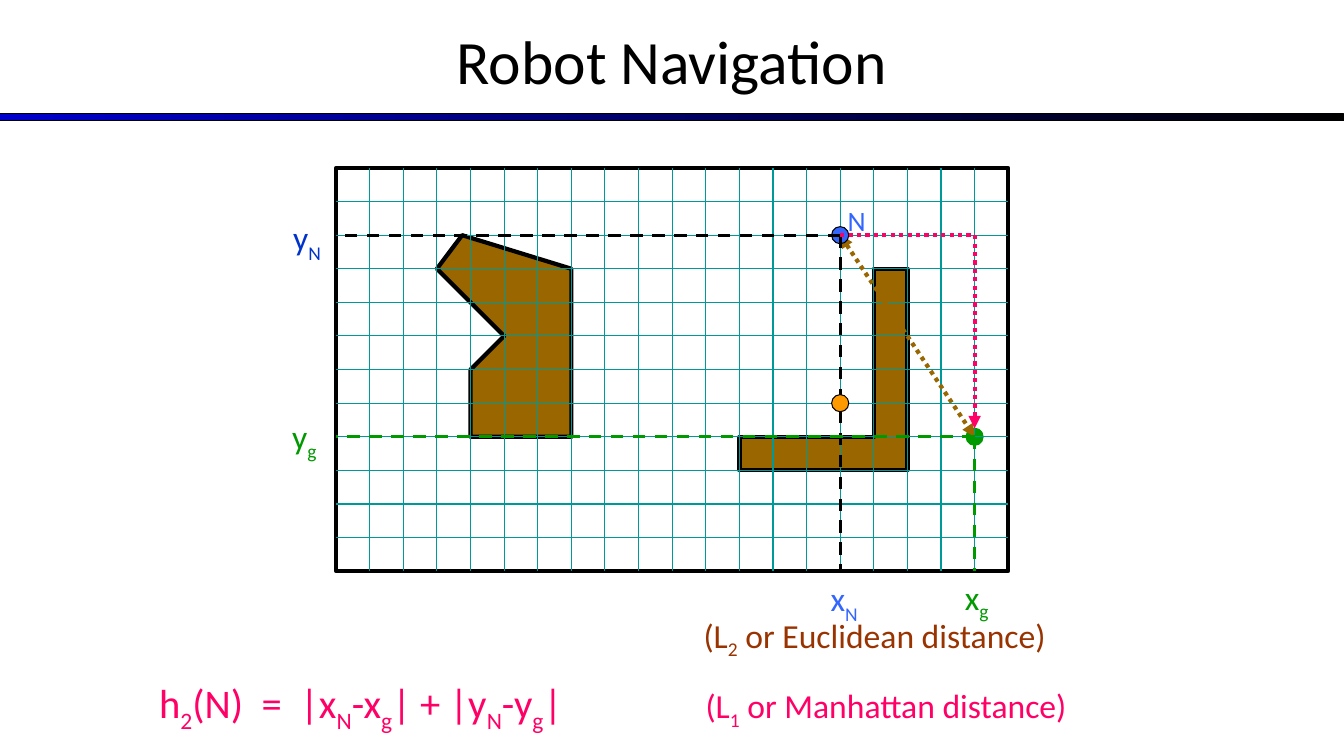
import pptx
import pptx.dml.color
import pptx.enum.dml
import pptx.enum.shapes
import pptx.enum.text
import pptx.oxml.ns
import pptx.util
from lxml import etree

Inches = pptx.util.Inches
Pt = pptx.util.Pt
SHAPE = pptx.enum.shapes.MSO_SHAPE
DASH = pptx.enum.dml.MSO_LINE.DASH
DOT = pptx.enum.dml.MSO_LINE.ROUND_DOT
qn = pptx.oxml.ns.qn

COLORS = {
    "black": "000000", "rule": "0000CC", "obstacle": "996600",
    "grid": "009999", "goal": "009900", "node": "3366FF",
    "y_node": "0033CC", "manhattan": "FF0066", "euclid": "993300",
    "marker": "FF9900",
}
FONT = "Calibri"

# Map geometry: positions on the map are counted in grid cells
CELL = 1 / 3
LEFT, TOP = 10 / 3, 5 / 3
COLS, ROWS = 20, 12
NODE = (15, 2)
GOAL = (19, 8)
MARKER = (15, 7)
DOT_SIZE = 0.17
HOUSE = [(3, 3), (5, 5), (4, 6), (4, 8), (7, 8), (7, 3), (3.75, 2)]
ELBOW = [(12, 8), (12, 9), (17, 9), (17, 3), (16, 3), (16, 8)]


def rgb(name):
    return pptx.dml.color.RGBColor.from_string(COLORS[name])


def cell_point(point):
    col, row = point
    return Inches(LEFT + col * CELL), Inches(TOP + row * CELL)


def style(sp, fill, line, width):
    sp.shadow.inherit = False
    if fill:
        sp.fill.solid()
        sp.fill.fore_color.rgb = rgb(fill)
    else:
        sp.fill.background()
    sp.line.color.rgb = rgb(line)
    sp.line.width = Pt(width)


def add_rule(s):
    sp = s.shapes.add_shape(SHAPE.RECTANGLE, 0, Inches(1.13), Inches(13.33), Inches(0.07))
    style(sp, None, "black", 0.75)
    sp.fill.gradient()
    sp.fill.gradient_angle = 0
    for stop, position, color in zip(sp.fill.gradient_stops, (0, 1), ("rule", "black")):
        stop.position = position
        stop.color.rgb = rgb(color)


def add_frame(s):
    x, y = cell_point((0, 0))
    sp = s.shapes.add_shape(SHAPE.RECTANGLE, x, y, Inches(COLS * CELL), Inches(ROWS * CELL))
    style(sp, None, "black", 3)


def add_obstacle(s, corners):
    start, *rest = [cell_point(c) for c in corners]
    builder = s.shapes.build_freeform(*start)
    builder.add_line_segments(rest, close=True)
    style(builder.convert_to_shape(), "obstacle", "black", 3)


def add_dot(s, center, fill, line):
    x, y = cell_point(center)
    size = Inches(DOT_SIZE)
    sp = s.shapes.add_shape(SHAPE.OVAL, x - size // 2, y - size // 2, size, size)
    style(sp, fill, line, 0.75)


def add_line(s, start, end, color, width, dash=None, arrows=()):
    sp = s.shapes.add_connector(
        pptx.enum.shapes.MSO_CONNECTOR.STRAIGHT, *cell_point(start), *cell_point(end))
    sp.line.color.rgb = rgb(color)
    sp.line.width = Pt(width)
    if dash:
        sp.line.dash_style = dash
    spPr = sp._element.spPr
    for arrow in arrows:
        etree.SubElement(spPr.find(qn("a:ln")), qn(f"a:{arrow}"), type="triangle")
    etree.SubElement(spPr, qn("a:effectLst"))


def add_text(s, box, text, size, color, drop=25):
    """Add a text box; parts between underscores become subscripts."""
    tf = s.shapes.add_textbox(*[Inches(v) for v in box]).text_frame
    tf.word_wrap = False
    tf.auto_size = pptx.enum.text.MSO_AUTO_SIZE.SHAPE_TO_FIT_TEXT
    p = tf.paragraphs[0]
    for i, part in enumerate(text.split("_")):
        if not part:
            continue
        r = p.add_run()
        r.text = part
        r.font.name = FONT
        r.font.size = Pt(size)
        r.font.color.rgb = rgb(color)
        if i % 2:
            r._r.get_or_add_rPr().set("baseline", str(-drop * 1000))
    return tf


def add_title(s, text):
    tf = add_text(s, (0, -0.03, 13.33, 1.25), text, 44, "black")
    tf.auto_size = pptx.enum.text.MSO_AUTO_SIZE.NONE
    tf.word_wrap = True
    tf.vertical_anchor = pptx.enum.text.MSO_ANCHOR.MIDDLE
    tf.paragraphs[0].alignment = pptx.enum.text.PP_ALIGN.CENTER


def main():
    prs = pptx.Presentation()
    prs.slide_width = Inches(13.33)
    prs.slide_height = Inches(7.5)
    s = prs.slides.add_slide(prs.slide_layouts[6])

    # Heading
    add_rule(s)
    add_title(s, "Robot Navigation")

    # Map with obstacles, goal and grid
    add_frame(s)
    for corners in (HOUSE, ELBOW):
        add_obstacle(s, corners)
    add_dot(s, GOAL, "goal", "goal")
    for row in range(1, ROWS):
        add_line(s, (0, row), (COLS, row), "grid", 0.75)
    for col in range(1, COLS):
        add_line(s, (col, 0), (col, ROWS), "grid", 0.75)

    # Euclidean path, then the node with its coordinates
    add_line(s, NODE, GOAL, "obstacle", 3, DOT, ("headEnd", "tailEnd"))
    add_dot(s, NODE, "node", "black")
    add_text(s, (8.14, 5.68, 0.54, 0.57), "x_N_", 24, "node", 30)
    add_text(s, (2.81, 2.1, 0.54, 0.57), "y_N_", 24, "y_node", 30)
    add_line(s, NODE, (0, NODE[1]), "black", 2.25, DASH)
    add_line(s, NODE, (NODE[0], ROWS), "black", 2.25, DASH)
    add_text(s, (8.31, 1.97, 0.4, 0.43), "N", 20, "node")

    # Manhattan path, ending at the top of the goal dot
    corner = (GOAL[0], NODE[1])
    add_line(s, NODE, corner, "manhattan", 3, DOT)
    add_line(s, corner, (GOAL[0], GOAL[1] - 0.25), "manhattan", 3, DOT, ("tailEnd",))

    # Goal coordinates
    add_line(s, GOAL, (GOAL[0], ROWS), "goal", 2.25, DASH)
    add_line(s, GOAL, (0, GOAL[1]), "goal", 2.25, DASH)
    add_text(s, (9.47, 5.67, 0.52, 0.55), "x_g_", 24, "goal")
    add_text(s, (2.8, 4.08, 0.52, 0.55), "y_g_", 24, "goal")

    # Distance formulas
    add_text(s, (6.88, 6.05, 4.46, 0.55), "(L_2_ or Euclidean distance)", 24, "euclid")
    add_text(s, (1.48, 6.68, 5.09, 0.65),
             "h_2_(N)  =  |x_N_-x_g_| + |y_N_-y_g_|", 29, "manhattan")
    add_text(s, (6.9, 6.75, 4.64, 0.55), "(L_1_ or Manhattan distance)", 24, "manhattan")

    add_dot(s, MARKER, "marker", "black")
    prs.save("out.pptx")


if __name__ == "__main__":
    main()
